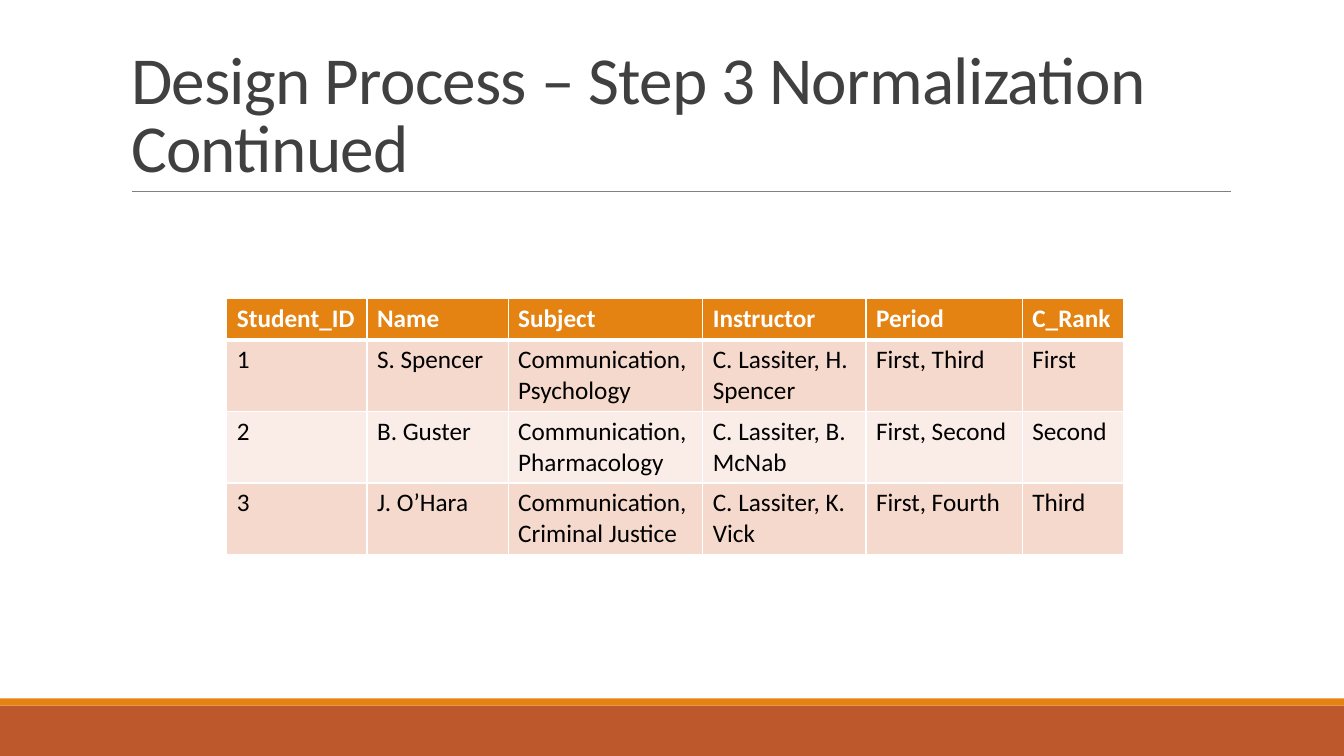
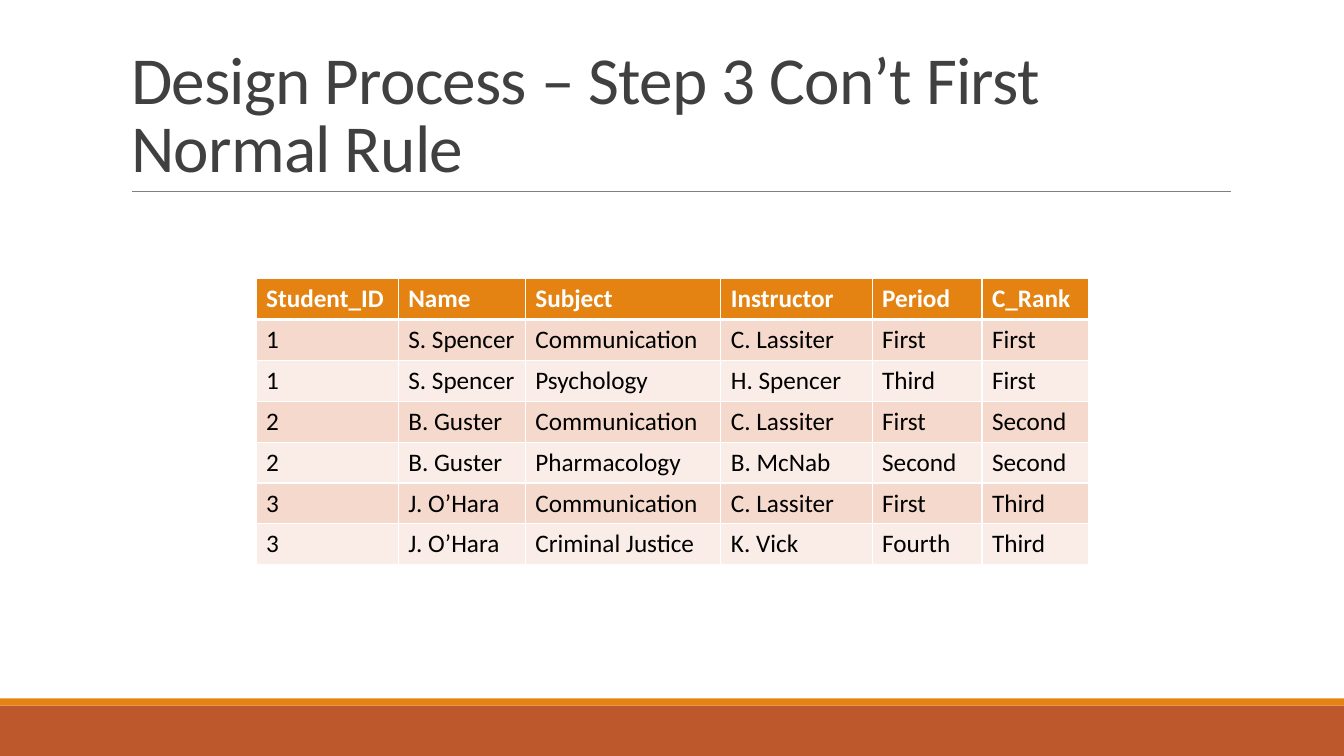
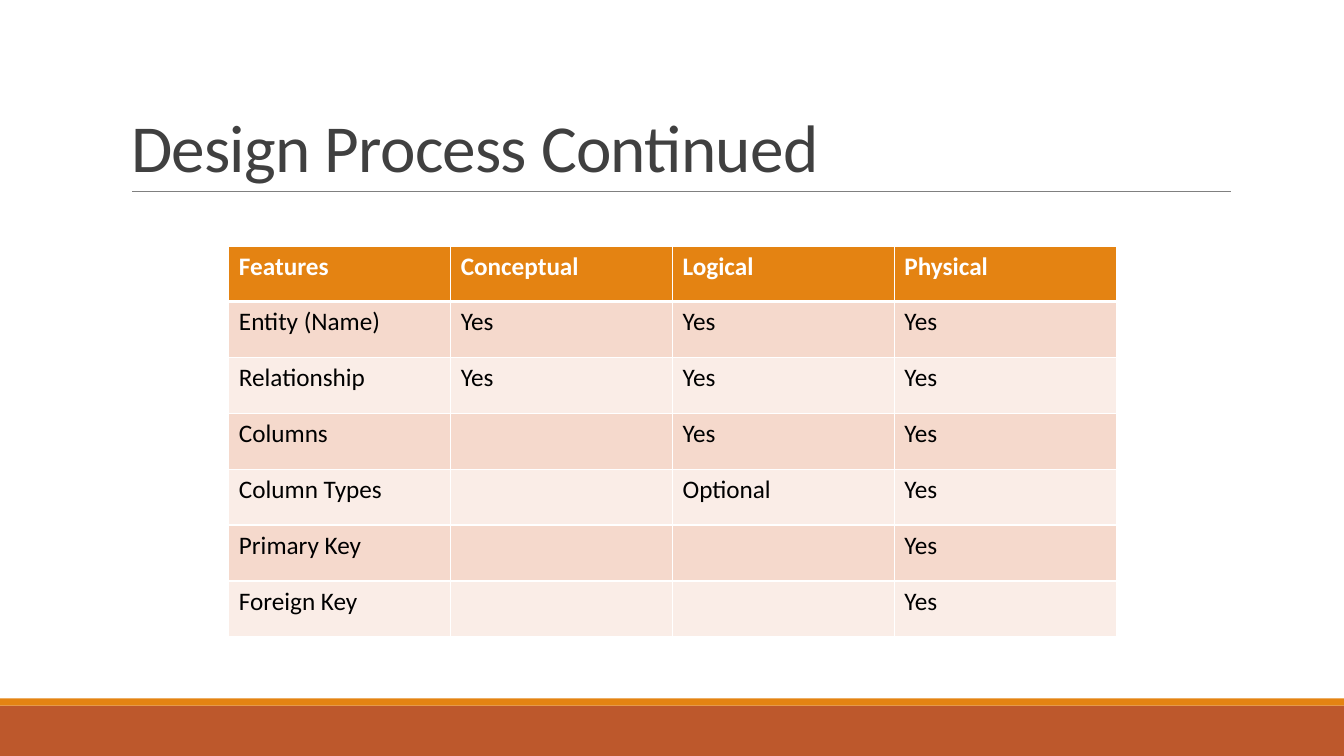
"""Builds three slides on database design, each with a title and a table."""
import pptx
import pptx.dml.color
import pptx.enum.shapes
import pptx.enum.text
import pptx.oxml.ns
import pptx.util
from lxml import etree

Inches, Pt = pptx.util.Inches, pptx.util.Pt
qn = pptx.oxml.ns.qn

FONT = "Calibri"
COLORS = {
    "title": "404040", "rule": "808080", "header": "E48312", "footer": "BD582C",
    "odd": "F5D9CC", "even": "FAEDE7", "white": "FFFFFF", "body": "000000",
}
WIDTH, HEIGHT = 13.33, 7.5
BANDS = [("footer", 7, 0.5), ("header", 6.93, 0.07)]
STUDENT_HEADER = ("Student_ID", "Name", "Subject", "Instructor", "Period", "C_Rank")

SLIDES = [
    {
        "title": "Design Process – Step 3 Normalization Continued",
        "left": 2.25, "top": 2.96, "height": 2.51, "header_height": 0.41,
        "columns": [1.39, 1.4, 1.93, 1.62, 1.55, 1],
        "rows": [
            STUDENT_HEADER,
            ("1", "S. Spencer", "Communication, Psychology", "C. Lassiter, H. Spencer", "First, Third", "First"),
            ("2", "B. Guster", "Communication, Pharmacology", "C. Lassiter, B. McNab", "First, Second", "Second"),
            ("3", "J. O’Hara", "Communication, Criminal Justice", "C. Lassiter, K. Vick", "First, Fourth", "Third"),
        ],
    },
    {
        "title": "Design Process – Step 3 Con’t First Normal Rule",
        "left": 2.54, "top": 2.76, "height": 2.84, "header_height": 0.41,
        "columns": [1.41, 1.26, 1.94, 1.5, 1.09, 1.06],
        "rows": [
            STUDENT_HEADER,
            ("1", "S. Spencer", "Communication", "C. Lassiter", "First", "First"),
            ("1", "S. Spencer", "Psychology", "H. Spencer", "Third", "First"),
            ("2", "B. Guster", "Communication", "C. Lassiter", "First", "Second"),
            ("2", "B. Guster", "Pharmacology", "B. McNab", "Second", "Second"),
            ("3", "J. O’Hara", "Communication", "C. Lassiter", "First", "Third"),
            ("3", "J. O’Hara", "Criminal Justice", "K. Vick", "Fourth", "Third"),
        ],
    },
    {
        "title": "Design Process Continued",
        "left": 2.27, "top": 2.44, "height": 3.88, "header_height": 0.55,
        "columns": [2.2] * 4,
        "rows": [
            ("Features", "Conceptual", "Logical", "Physical"),
            ("Entity (Name)", "Yes", "Yes", "Yes"),
            ("Relationship", "Yes", "Yes", "Yes"),
            ("Columns", "", "Yes", "Yes"),
            ("Column Types", "", "Optional", "Yes"),
            ("Primary Key", "", "", "Yes"),
            ("Foreign Key", "", "", "Yes"),
        ],
    },
]


def rgb(name):
    return pptx.dml.color.RGBColor.from_string(COLORS[name])


def write(frame, text, size=18, color="body", bold=False, line_spacing=None, tracking=None):
    paragraph = frame.paragraphs[0]
    paragraph.alignment = pptx.enum.text.PP_ALIGN.LEFT
    if line_spacing:
        paragraph.line_spacing = line_spacing
    if not text:
        return
    run = paragraph.add_run()
    run.text = text
    run.font.name, run.font.size, run.font.bold = FONT, Pt(size), bold
    run.font.color.rgb = rgb(color)
    if tracking:
        run.font._element.set("spc", str(round(tracking * 100)))


def add_frame(slide):
    for color, top, height in BANDS:
        band = slide.shapes.add_shape(
            pptx.enum.shapes.MSO_SHAPE.RECTANGLE, 0, Inches(top), Inches(WIDTH), Inches(height))
        band.shadow.inherit = False
        band.fill.solid()
        band.fill.fore_color.rgb = rgb(color)
        band.line.fill.background()
    rule = slide.shapes.add_connector(
        pptx.enum.shapes.MSO_CONNECTOR.STRAIGHT, Inches(1.31), Inches(1.9), Inches(12.21), Inches(1.9))
    rule.line.color.rgb = rgb("rule")
    rule.line.width = Pt(0.5)
    etree.SubElement(rule._element.spPr, qn("a:effectLst"))


def add_title(slide, text):
    title = slide.shapes.title
    title.left, title.top, title.width, title.height = map(Inches, (1.2, 0.31, 11, 1.59))
    frame = title.text_frame
    frame.word_wrap = True
    frame.auto_size = pptx.enum.text.MSO_AUTO_SIZE.NONE
    frame.vertical_anchor = pptx.enum.text.MSO_ANCHOR.BOTTOM
    write(frame, text, size=48, color="title", line_spacing=0.85, tracking=-0.5)


def add_borders(cell, top=1, bottom=1):
    properties = cell._tc.get_or_add_tcPr()
    for place, (side, width) in enumerate([("L", 1), ("R", 1), ("T", top), ("B", bottom)]):
        border = etree.Element(qn("a:ln" + side), w=str(Pt(width)))
        fill = etree.SubElement(border, qn("a:solidFill"))
        etree.SubElement(fill, qn("a:srgbClr"), val=COLORS["white"])
        properties.insert(place, border)


def add_grid(slide, content):
    rows, columns = content["rows"], content["columns"]
    header_height = content["header_height"]
    body_height = (content["height"] - header_height) / (len(rows) - 1)
    grid = slide.shapes.add_table(
        len(rows), len(columns), Inches(content["left"]), Inches(content["top"]),
        Inches(sum(columns)), Inches(content["height"])).table
    for column, width in zip(grid.columns, columns):
        column.width = Inches(width)
    for r, values in enumerate(rows):
        is_header = r == 0
        grid.rows[r].height = Inches(header_height if is_header else body_height)
        band = "header" if is_header else ("odd" if r % 2 else "even")
        for c, value in enumerate(values):
            cell = grid.cell(r, c)
            cell.fill.solid()
            cell.fill.fore_color.rgb = rgb(band)
            add_borders(cell, top=3 if r == 1 else 1, bottom=3 if is_header else 1)
            write(cell.text_frame, value, color="white" if is_header else "body", bold=is_header)


def main():
    deck = pptx.Presentation()
    deck.slide_width, deck.slide_height = Inches(WIDTH), Inches(HEIGHT)
    for content in SLIDES:
        slide = deck.slides.add_slide(deck.slide_layouts[5])
        add_frame(slide)
        add_title(slide, content["title"])
        add_grid(slide, content)
    deck.save("out.pptx")


if __name__ == "__main__":
    main()
